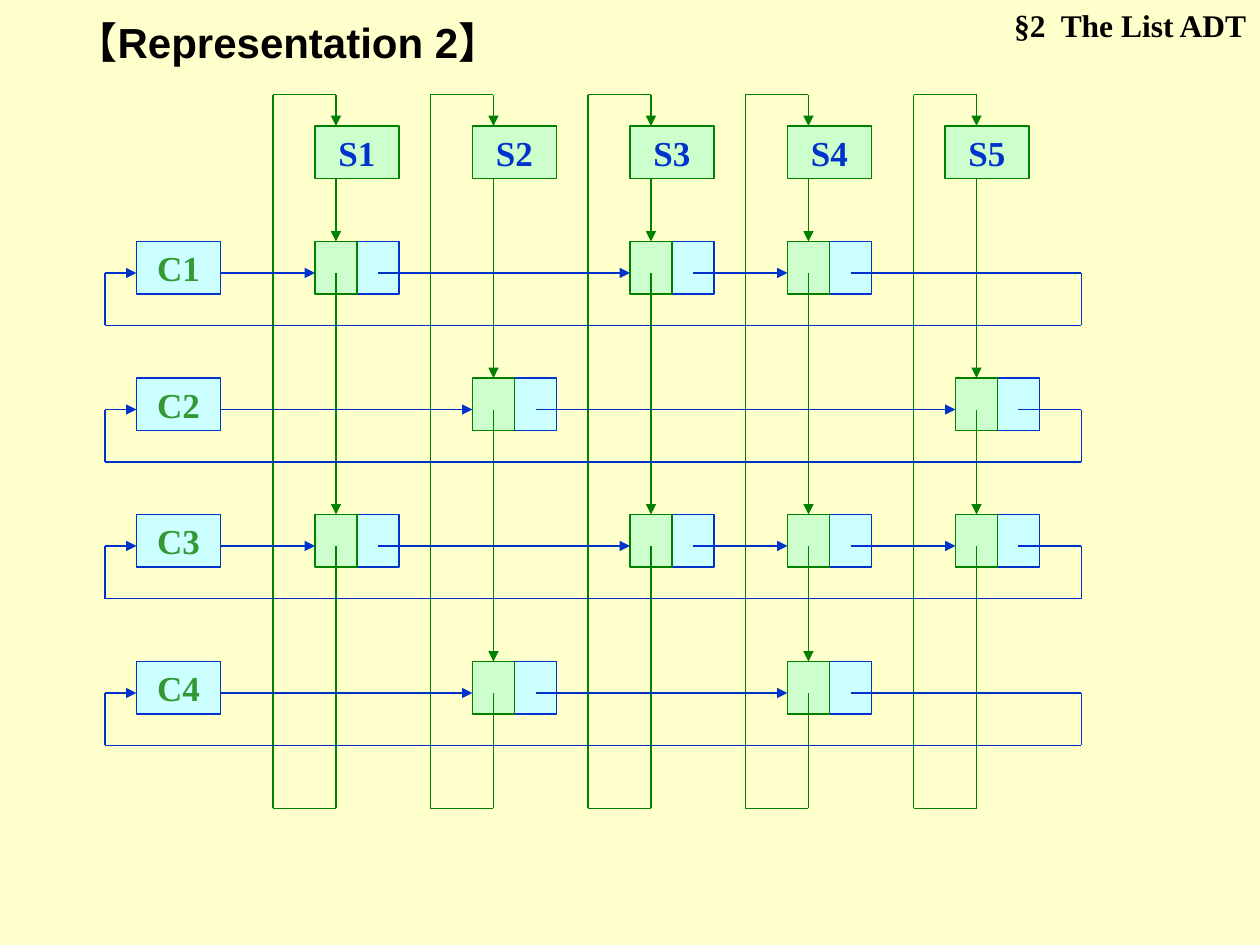
import itertools

import pptx
import pptx.dml.color
import pptx.enum.shapes
import pptx.enum.text
import pptx.oxml
import pptx.oxml.ns
import pptx.util

UNIT = 1 / 12
CELL_W, CELL_H = 4, 5
BOX_W = 2 * CELL_W
SHEET = {"left": 10, "top": 9, "right": 103, "bottom": 77}
STUDENT_Y, COURSE_X = 12, 13
STUDENTS = {"S1": (30, 30), "S2": (45, 45), "S3": (60, 60), "S4": (75, 75), "S5": (90, 91)}
COURSES = {"C1": 23, "C2": 36, "C3": 49, "C4": 63}
ENROLLED = {"C1": ["S1", "S3", "S4"], "C2": ["S2", "S5"],
            "C3": ["S1", "S3", "S4", "S5"], "C4": ["S2", "S4"]}
GREEN = {"fill": "CCFFCC", "line": "008000", "text": "0033CC"}
BLUE = {"fill": "CCFFFF", "line": "0033CC", "text": "339933"}


def rgb(value):
    """Turn a hex string into a colour."""
    return pptx.dml.color.RGBColor.from_string(value)


def grid(*values):
    """Turn grid steps into lengths."""
    return [pptx.util.Inches(v * UNIT) for v in values]


def write(tf, text, size, font, color, align, anchor, wrap=True):
    """Put one bold line of text in a frame."""
    tf.text = text
    tf.word_wrap = wrap
    tf.auto_size = pptx.enum.text.MSO_AUTO_SIZE.NONE
    tf.vertical_anchor = anchor
    p = tf.paragraphs[0]
    p.alignment = align
    p.space_before = pptx.util.Pt(0)
    formats = {"name": font, "size": pptx.util.Pt(size), "bold": True}
    for name, value in formats.items():
        setattr(p.runs[0].font, name, value)
    p.runs[0].font.color.rgb = rgb(color)


def add_box(s, box, style, label=None):
    """Draw a rectangle, with a centred label if there is one."""
    sp = s.shapes.add_shape(pptx.enum.shapes.MSO_SHAPE.RECTANGLE, *grid(*box))
    sp.shadow.inherit = False
    sp.fill.solid()
    sp.fill.fore_color.rgb = rgb(style["fill"])
    sp.line.color.rgb = rgb(style["line"])
    sp.line.width = pptx.util.Pt(0.75)
    if label:
        write(sp.text_frame, label, 20, "Times New Roman", style["text"],
              pptx.enum.text.PP_ALIGN.CENTER, pptx.enum.text.MSO_ANCHOR.MIDDLE, False)
    return sp


def add_line(s, start, end, style, arrow=False):
    """Draw a straight line, with an arrowhead at its end if asked."""
    line = s.shapes.add_connector(pptx.enum.shapes.MSO_CONNECTOR.STRAIGHT, *grid(*start, *end))
    line.line.color.rgb = rgb(style["line"])
    line.line.width = pptx.util.Pt(0.75)
    if arrow:
        ln = line.line._get_or_add_ln()
        ln.append(pptx.oxml.parse_xml(
            f'<a:tailEnd {pptx.oxml.ns.nsdecls("a")} type="triangle"/>'))
    line._element.spPr.append(pptx.oxml.parse_xml(
        f'<a:effectLst {pptx.oxml.ns.nsdecls("a")}/>'))
    return line


def add_path(s, points, style):
    """Draw a chain of lines that ends in an arrowhead."""
    pairs = list(itertools.pairwise(points))
    for i, (start, end) in enumerate(pairs, 1):
        add_line(s, start, end, style, i == len(pairs))


def add_node(s, box):
    """Draw a node of two cells and return the cell of the column list."""
    x, y, w, h = box
    add_box(s, (x + w / 2, y, w / 2, h), BLUE)
    return add_box(s, (x, y, w / 2, h), GREEN)


def add_student(s, label, box, node_x, nodes):
    """Draw a student box and the circular list down its column."""
    add_box(s, box, GREEN, label)
    x, y = node_x + CELL_W / 2, box[1] + box[3]
    for node_y, cell in nodes:
        line = add_line(s, (x, y), (x, node_y), GREEN, True)
        line.end_connect(cell, 0)
        y = node_y + 3
    left, top, bottom = x - 5 - 1, SHEET["top"], SHEET["bottom"]
    add_path(s, [(x, y), (x, bottom), (left, bottom), (left, top), (x, top), (x, box[1])], GREEN)


def add_course(s, label, box, node_xs):
    """Draw a course box and the circular list along its row."""
    add_box(s, box, BLUE, label)
    x, y = box[0] + box[2], box[1] + 3
    for node_x in node_xs:
        add_line(s, (x, y), (node_x, y), BLUE, True)
        x = node_x + CELL_W * 1.5
    left, right, low = SHEET["left"], SHEET["right"], y + 5
    add_path(s, [(x, y), (right, y), (right, low), (left, low), (left, y), (box[0], y)], BLUE)


def add_headings(s, width, height):
    """Fill the title and the section mark at the top of the slide."""
    boxes = [(s.shapes.title, (0.05, 0.011, 0.4, 0.067)),
             (s.shapes.add_textbox(0, 0, 0, 0), (0.758, 0, 0.241, 0.053))]
    for sp, (x, y, w, h) in boxes:
        sp.left, sp.top = int(x * width), int(y * height)
        sp.width, sp.height = int(w * width), int(h * height)
    align, top = pptx.enum.text.PP_ALIGN, pptx.enum.text.MSO_ANCHOR.TOP
    write(boxes[0][0].text_frame, "【Representation 2】", 24, "Arial", "000000", align.LEFT, top)
    write(boxes[1][0].text_frame, "§2  The List ADT", 18, "Times New Roman", "000000",
          align.RIGHT, top)


def add_multilist(s):
    """Draw the nodes and the lists that run through them."""
    cells = {(c, st): add_node(s, (STUDENTS[st][1], COURSES[c], BOX_W, CELL_H))
             for c, names in ENROLLED.items() for st in names}
    for label, (x, node_x) in STUDENTS.items():
        nodes = [(COURSES[c], cell) for (c, st), cell in cells.items() if st == label]
        add_student(s, label, (x, STUDENT_Y, BOX_W, CELL_H), node_x, nodes)
    for label, y in COURSES.items():
        node_xs = [STUDENTS[st][1] for st in ENROLLED[label]]
        add_course(s, label, (COURSE_X, y, BOX_W, CELL_H), node_xs)


def main():
    """Build the slide and save it."""
    prs = pptx.Presentation()
    prs.slide_width, prs.slide_height = pptx.util.Inches(10), pptx.util.Inches(7.5)
    s = prs.slides.add_slide(prs.slide_layouts[5])
    s.background.fill.solid()
    s.background.fill.fore_color.rgb = rgb("FFFFCC")
    add_headings(s, prs.slide_width, prs.slide_height)
    add_multilist(s)
    prs.save("out.pptx")


if __name__ == "__main__":
    main()
